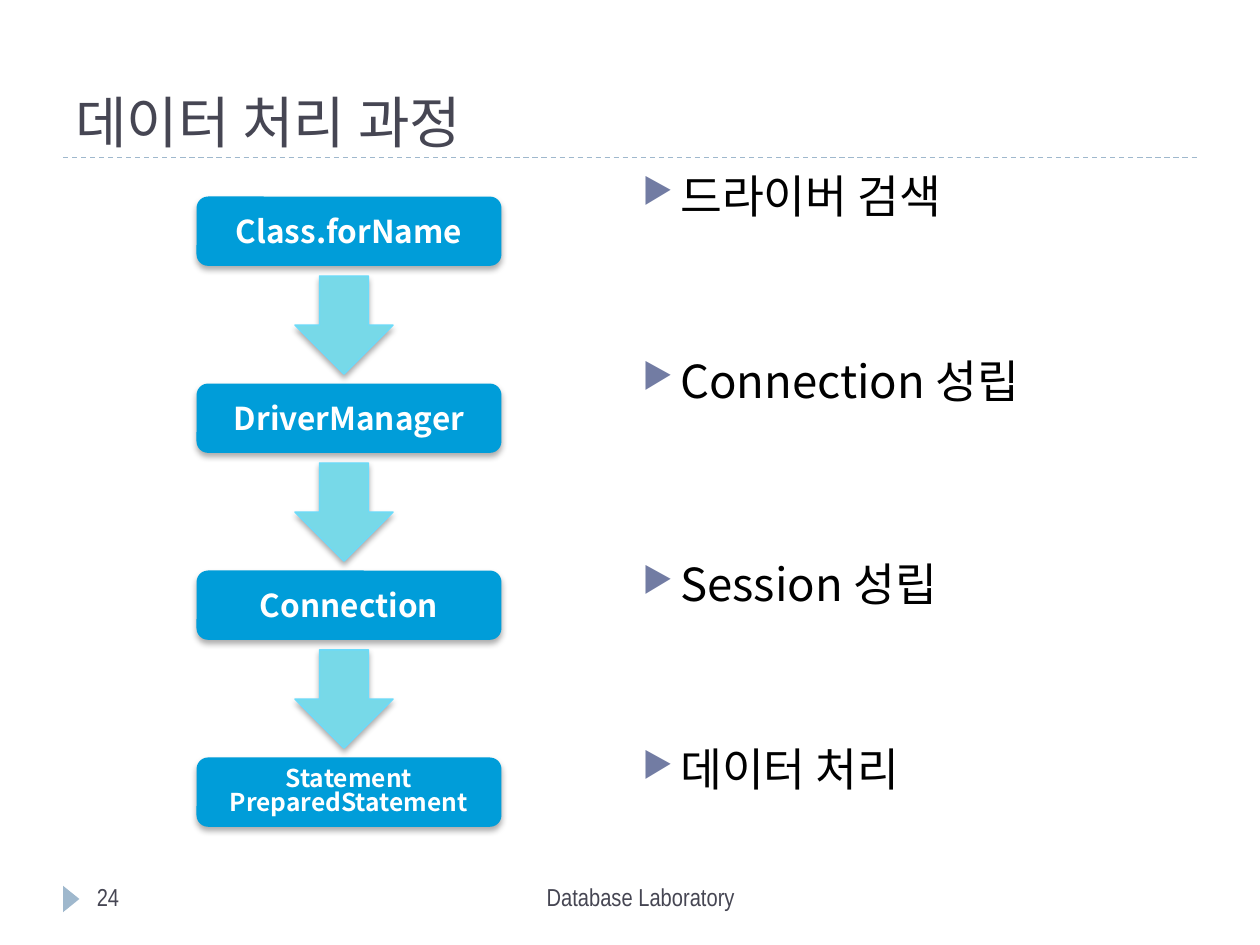
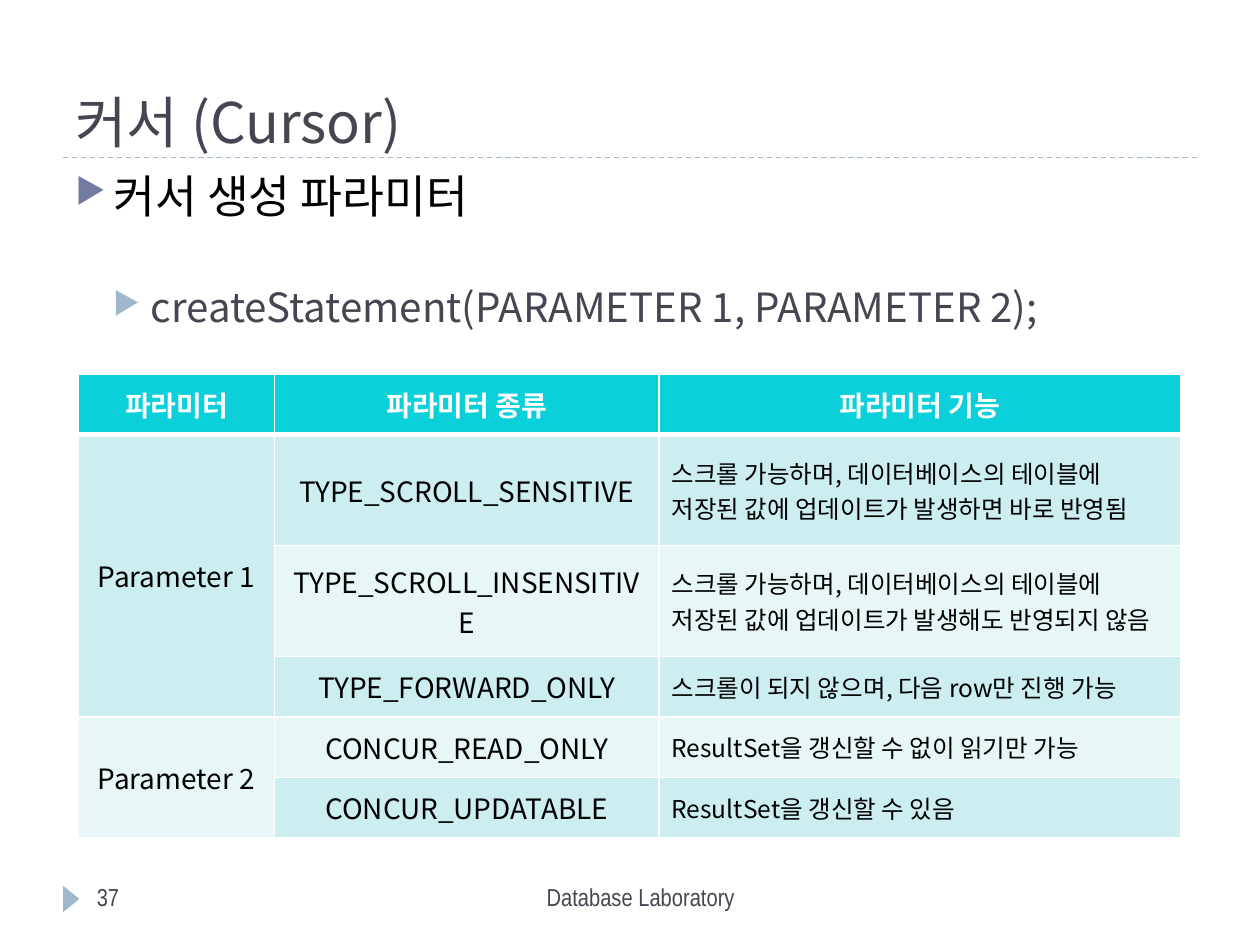
from dataclasses import dataclass
from lxml.etree import SubElement
from pptx import Presentation
from pptx.dml.color import RGBColor
from pptx.enum.dml import MSO_LINE
from pptx.enum.shapes import MSO_CONNECTOR, MSO_SHAPE
from pptx.enum.text import MSO_ANCHOR, PP_ALIGN
from pptx.oxml.ns import qn
from pptx.util import Inches, Pt

HUES = {
    "ink": "464653", "black": "000000", "white": "FFFFFF",
    "mist": "9FB8CD", "slate": "727CA3",
    "box": "009DD9", "arrow": "77D9E8", "edge": "6BDBFA",
    "head": "0BD0D9", "dark": "CCEEF1", "light": "E7F7F8",
}
SANS = "Noto Sans CJK KR"
NARROW = "Arial Narrow"

# The slide is a grid of 100 columns by 75 rows
COLS, ROWS = 100, 75
WIDE, HIGH = Inches(10), Inches(7.5)


@dataclass(frozen=True)
class Area:
    left: float
    top: float
    width: float
    height: float

    def place(self) -> tuple:
        return (col(self.left), row(self.top), col(self.width), row(self.height))


@dataclass(frozen=True)
class Font:
    size: float
    hue: str
    face: str = SANS
    bold: bool = False


@dataclass(frozen=True)
class Point:
    text: str
    gap: float = 0
    level: int = 0


@dataclass(frozen=True)
class Param:
    kind: str
    role: str
    hue: str


TITLE = Font(32, "ink")
FOOT = Font(14, "ink", NARROW)
LEVELS = [(Font(26, "black"), "slate"), (Font(23, "ink"), "mist")]

STEPS = ["Class.forName", "DriverManager", "Connection",
         "Statement\nPreparedStatement"]
PITCH = 14.84
GOALS = [Point("드라이버 검색"), Point("Connection 성립", 77.7),
         Point("Session 성립", 88.2), Point("데이터 처리", 77.7)]

CURSOR = [Point("커서 생성 파라미터"),
          Point("createStatement(PARAMETER 1, PARAMETER 2);", 37, 1)]
HEADS = ["파라미터", "파라미터 종류", "파라미터 기능"]
PARAMS = [
    Param("TYPE_SCROLL_SENSITIVE",
          "스크롤 가능하며, 데이터베이스의 테이블에 저장된 값에 업데이트가 발생하면 바로 반영됨", "dark"),
    Param("TYPE_SCROLL_INSENSITIVE",
          "스크롤 가능하며, 데이터베이스의 테이블에 저장된 값에 업데이트가 발생해도 반영되지 않음", "light"),
    Param("TYPE_FORWARD_ONLY", "스크롤이 되지 않으며, 다음 row만 진행 가능", "dark"),
    Param("CONCUR_READ_ONLY", "ResultSet을 갱신할 수 없이 읽기만 가능", "light"),
    Param("CONCUR_UPDATABLE", "ResultSet을 갱신할 수 있음", "dark"),
]
GROUPS = [("Parameter 1", 1, 3), ("Parameter 2", 4, 5)]
WIDTHS = [15.6, 30.5, 41.4]
HEIGHTS = [4.8, 8.8, 8.8, 4.8, 4.8, 4.8]


def col(n: float) -> int:
    return round(WIDE * n / COLS)


def row(n: float) -> int:
    return round(HIGH * n / ROWS)


def tint(name: str) -> RGBColor:
    return RGBColor.from_string(HUES[name])


def paint(fill, hue: str) -> None:
    fill.solid()
    fill.fore_color.rgb = tint(hue)


def style(part, font: Font, align=PP_ALIGN.LEFT) -> None:
    """Format every run of a paragraph."""
    part.alignment = align
    for run in part.runs:
        run.font.size = Pt(font.size)
        run.font.bold = font.bold
        run.font.name = font.face
        run.font.color.rgb = tint(font.hue)
        SubElement(run.font._element, qn("a:ea"), typeface=font.face)


def write(slide, area: Area, text: str, font: Font, align=PP_ALIGN.LEFT):
    frame = slide.shapes.add_textbox(*area.place()).text_frame
    frame.word_wrap = True
    frame.text = text
    style(frame.paragraphs[0], font, align)
    return frame


def mark(part, hue: str, level: int) -> None:
    """Give a paragraph a hanging triangle bullet."""
    props = part._p.get_or_add_pPr()
    props.set("marL", str(col(3 * (level + 1))))
    props.set("indent", str(-col(3)))
    tone = SubElement(props, qn("a:buClr"))
    SubElement(tone, qn("a:srgbClr"), val=HUES[hue])
    SubElement(props, qn("a:buSzPct"), val="76000")
    SubElement(props, qn("a:buChar"), char="▶")


def add_points(slide, area: Area, points: list[Point]) -> None:
    frame = slide.shapes.add_textbox(*area.place()).text_frame
    frame.word_wrap = True
    frame.text = "\n".join(point.text for point in points)
    for part, point in zip(frame.paragraphs, points):
        font, hue = LEVELS[point.level]
        part.level = point.level
        part.line_spacing = 0.9
        part.space_before = Pt(point.gap)
        style(part, font)
        mark(part, hue, point.level)


def add_shape(slide, kind, area: Area, hue: str, edge: str = ""):
    shape = slide.shapes.add_shape(kind, *area.place())
    shape.shadow.inherit = False
    paint(shape.fill, hue)
    if edge:
        shape.line.color.rgb = tint(edge)
        shape.line.width = Pt(0.75)
    else:
        shape.line.fill.background()
    return shape


def shade(shape) -> None:
    """Drop a soft shadow straight down."""
    effects = shape._element.spPr.find(qn("a:effectLst"))
    drop = SubElement(effects, qn("a:outerShdw"), blurRad=str(Pt(3.5)),
                      dist=str(Pt(2.2)), dir="5400000", rotWithShape="0")
    tone = SubElement(drop, qn("a:srgbClr"), val=HUES["black"])
    SubElement(tone, qn("a:alpha"), val="32000")


def add_page(deck, title: str, number: int):
    """Start a slide with the shared rule, title and footer."""
    slide = deck.slides.add_slide(deck.slide_layouts[6])
    rule = slide.shapes.add_connector(
        MSO_CONNECTOR.STRAIGHT, col(5), row(12.5), col(95), row(12.5))
    rule.line.color.rgb = tint("mist")
    rule.line.width = Pt(0.75)
    rule.line.dash_style = MSO_LINE.DASH
    SubElement(rule._element.spPr, qn("a:effectLst"))
    wedge = add_shape(slide, MSO_SHAPE.ISOSCELES_TRIANGLE,
                      Area(4.6, 70.7, 2.1, 1.3), "mist")
    wedge.rotation = 90
    frame = write(slide, Area(5, 1.7, 90, 10.8), title, TITLE)
    frame.vertical_anchor = MSO_ANCHOR.BOTTOM
    frame.margin_bottom = row(0.2)
    write(slide, Area(31.7, 69.5, 38.3, 4), "Database Laboratory", FOOT,
          PP_ALIGN.CENTER)
    write(slide, Area(6.7, 69.5, 21.7, 4), str(number), FOOT)
    return slide


def add_flow(slide) -> None:
    for i, step in enumerate(STEPS):
        drop = i * PITCH
        box = add_shape(slide, MSO_SHAPE.ROUNDED_RECTANGLE,
                        Area(15.6, 15.6 + drop, 24.2, 5.5), "box")
        shade(box)
        frame = box.text_frame
        frame.word_wrap = False
        frame.vertical_anchor = MSO_ANCHOR.MIDDLE
        frame.text = step
        double = len(frame.paragraphs) > 1
        for part in frame.paragraphs:
            style(part, Font(14 if double else 18, "white", bold=True),
                  PP_ALIGN.CENTER)
            if double:
                part.line_spacing = 0.82
        if i < len(STEPS) - 1:
            shade(add_shape(slide, MSO_SHAPE.DOWN_ARROW,
                            Area(23.4, 21.9 + drop, 7.8, 7.8), "arrow", "edge"))


def border(cell, top: float, base: float) -> None:
    """Draw white lines around a cell."""
    props = cell._tc.get_or_add_tcPr()
    sides = {"L": 1, "R": 1, "T": top, "B": base}
    for i, (side, width) in enumerate(sides.items()):
        line = SubElement(props, qn(f"a:ln{side}"), w=str(Pt(width)))
        solid = SubElement(line, qn("a:solidFill"))
        SubElement(solid, qn("a:srgbClr"), val=HUES["white"])
        props.insert(i, line)


def set_cell(cell, text: str, font: Font, align=PP_ALIGN.CENTER) -> None:
    cell.text_frame.text = text
    cell.vertical_anchor = MSO_ANCHOR.MIDDLE
    style(cell.text_frame.paragraphs[0], font, align)


def add_params(slide) -> None:
    area = Area(6.2, 29.7, sum(WIDTHS), sum(HEIGHTS))
    table = slide.shapes.add_table(
        len(HEIGHTS), len(WIDTHS), *area.place()).table
    table.first_row = table.horz_banding = False
    for line, width in zip(table.columns, WIDTHS):
        line.width = col(width)
    for line, height in zip(table.rows, HEIGHTS):
        line.height = row(height)

    # Fills and borders, with a thick line under the heads
    hues = ["head"] + [param.hue for param in PARAMS]
    for r, hue in enumerate(hues):
        for c in range(len(WIDTHS)):
            cell = table.cell(r, c)
            paint(cell.fill, hue)
            border(cell, 3 if r == 1 else 1, 3 if r == 0 else 1)

    # Words
    plain = Font(16, "black")
    for c, head in enumerate(HEADS):
        set_cell(table.cell(0, c), head, Font(16, "white", bold=True))
    for r, param in enumerate(PARAMS, 1):
        set_cell(table.cell(r, 1), param.kind, plain)
        set_cell(table.cell(r, 2), param.role, Font(14, "black"), PP_ALIGN.LEFT)
    for name, first, last in GROUPS:
        table.cell(first, 0).merge(table.cell(last, 0))
        set_cell(table.cell(first, 0), name, plain)


def main() -> None:
    deck = Presentation()
    deck.slide_width, deck.slide_height = WIDE, HIGH

    # Steps of data processing
    slide = add_page(deck, "데이터 처리 과정", 24)
    add_points(slide, Area(50, 13.3, 45, 54), GOALS)
    add_flow(slide)

    # Cursor parameters
    slide = add_page(deck, "커서 (Cursor)", 37)
    add_points(slide, Area(5, 13.3, 90, 54), CURSOR)
    add_params(slide)

    deck.save("out.pptx")


if __name__ == "__main__":
    main()
